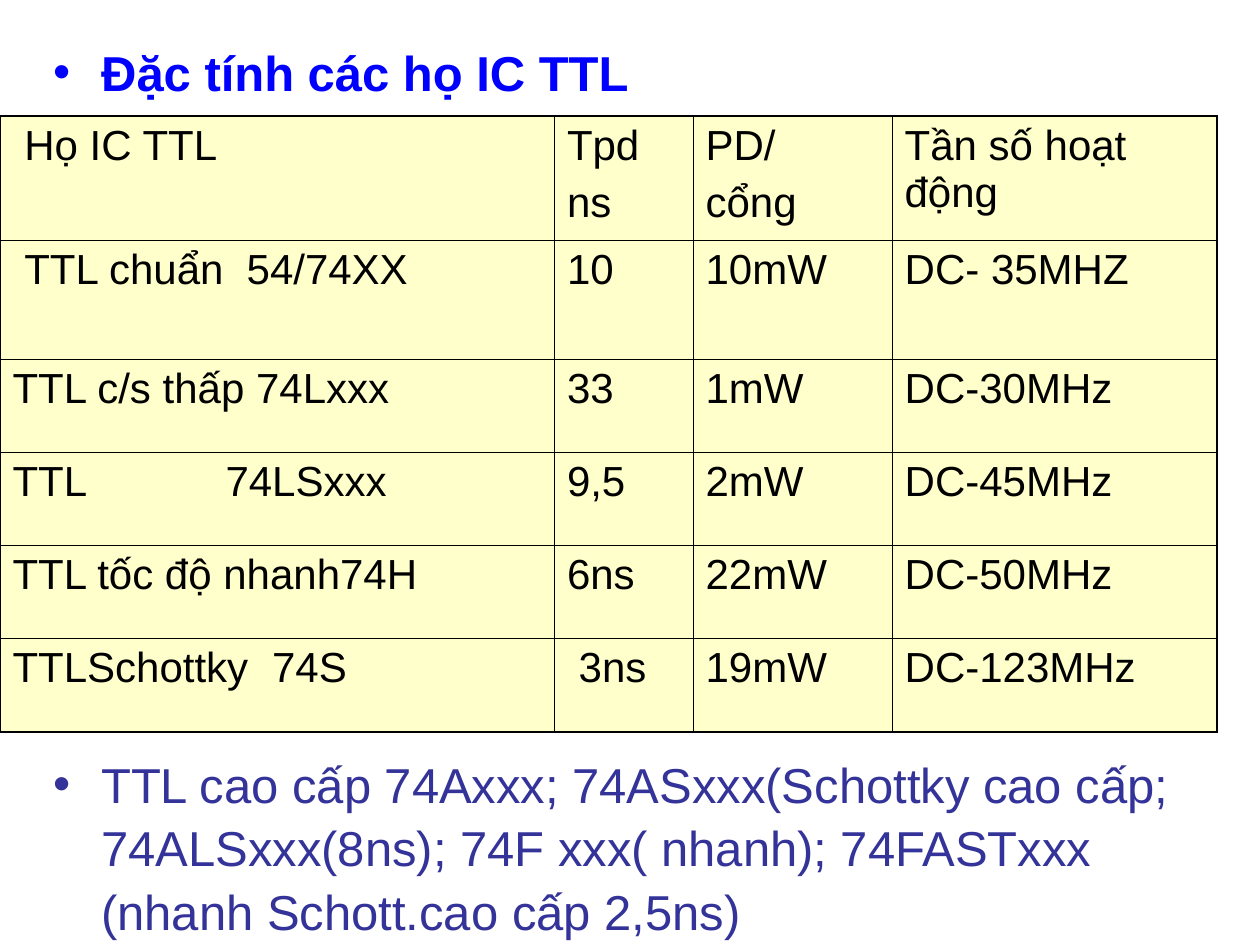
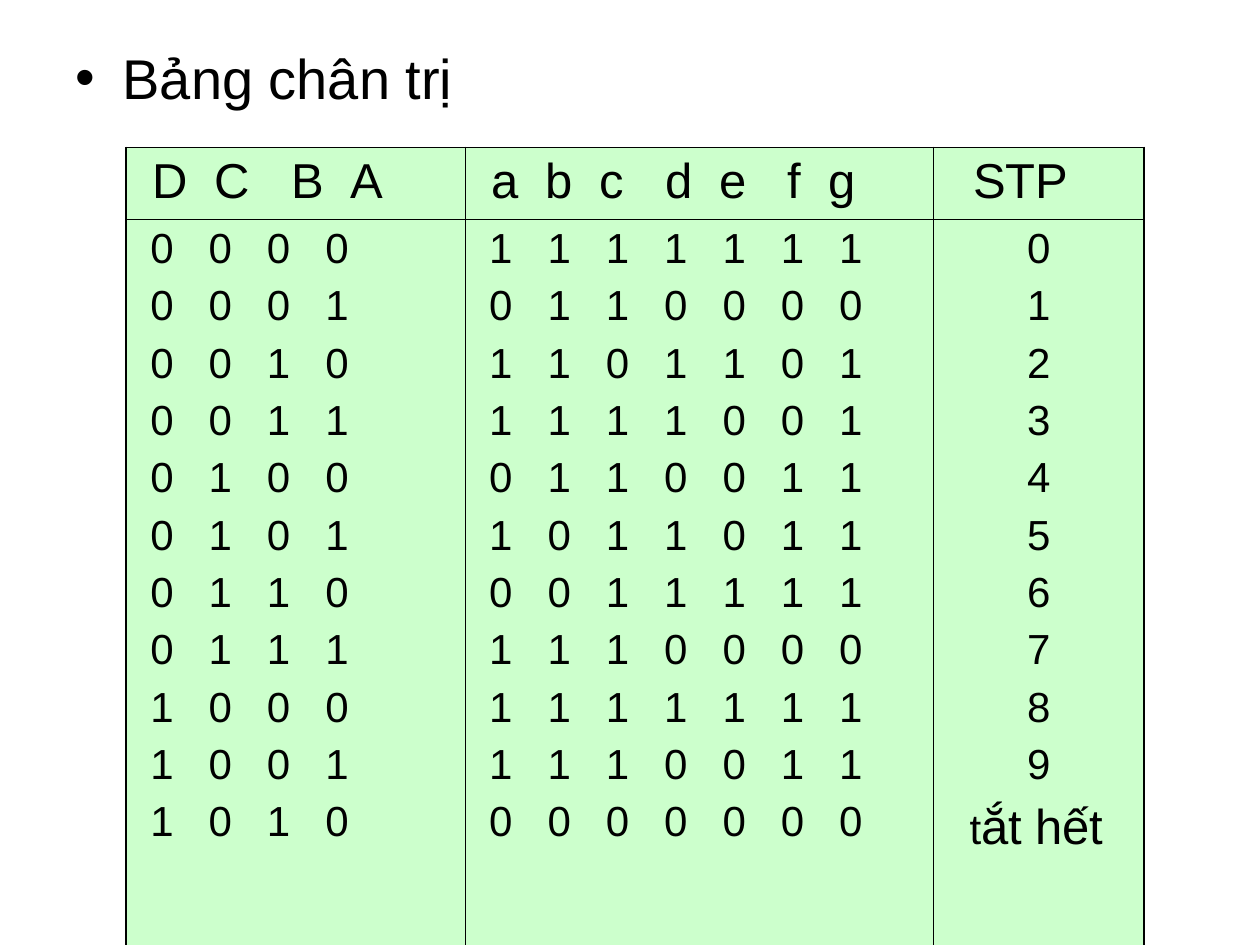
from dataclasses import dataclass
from itertools import accumulate
from lxml.etree import SubElement as Sub, Element as Elem
from pptx import Presentation
from pptx.dml.color import RGBColor as Rgb
from pptx.enum.text import PP_ALIGN as Align, MSO_ANCHOR as Anchor, MSO_AUTO_SIZE as Fit
from pptx.oxml.ns import qn
from pptx.util import Inches, Pt

COLS, ROWS = 100, 75  # grid units across and down the slide


@dataclass(frozen=True)
class Theme:
    font: str = "Arial"
    ink: str = "000000"
    blue: str = "0000FF"
    navy: str = "333399"
    cream: str = "FFFFCC"
    mint: str = "CCFFCC"
    body: int = 24
    head: int = 28
    title: int = 32
    thick: float = 1.08
    thin: float = 0.45
    pad: float = 1.0
    hang: float = 3.75
    lead: float = 1.08


@dataclass
class Para:
    """One paragraph: runs are (text, size) pairs; tabs and indent are grid columns."""
    runs: list
    tabs: tuple = ()
    indent: float = 0
    align: Align = Align.LEFT


@dataclass
class Cell:
    """Paragraphs of a table cell, moved right by shift grid columns."""
    paras: list
    shift: float = 0


def put(item, **form):
    for name, value in form.items():
        setattr(item, name, value)


class Deck:
    def __init__(self, theme):
        self.theme, self.prs = theme, Presentation()
        put(self.prs, slide_width=Inches(10), slide_height=Inches(7.5))
        self.slide = None

    def col(self, n):
        return round(self.prs.slide_width * n / COLS)

    def row(self, n):
        return round(self.prs.slide_height * n / ROWS)

    def page(self):
        self.slide = self.prs.slides.add_slide(self.prs.slide_layouts[6])

    def text(self, para, runs, color, bold=False):
        for words, size in runs:
            run = para.add_run()
            run.text = words
            put(run.font, name=self.theme.font, size=Pt(size), bold=bold)
            run.font.color.rgb = Rgb.from_string(color)

    def point(self, left, top, wide, high, words, size, color, bold=False):
        """Add a text box that holds one bulleted paragraph."""
        th = self.theme
        box = self.slide.shapes.add_textbox(
            self.col(left), self.row(top), self.col(wide), self.row(high))
        put(box.text_frame, word_wrap=True, auto_size=Fit.NONE)
        para = box.text_frame.paragraphs[0]
        props = para._p.get_or_add_pPr()
        props.set("marL", str(self.col(th.hang)))
        props.set("indent", str(-self.col(th.hang)))
        Sub(Sub(props, qn("a:buClr")), qn("a:srgbClr"), val=color)
        Sub(props, qn("a:buFont"), typeface=th.font)
        Sub(props, qn("a:buChar"), char="•")
        para.line_spacing = th.lead
        self.text(para, [(words, size)], color, bold)

    def edge(self, cell, widths):
        """Draw cell borders; widths lists left, right, top and bottom."""
        props = cell._tc.get_or_add_tcPr()
        for spot, (side, width) in enumerate(zip("LRTB", widths)):
            line = Elem(qn("a:ln" + side), w=str(Pt(width)))
            Sub(Sub(line, qn("a:solidFill")), qn("a:srgbClr"), val=self.theme.ink)
            props.insert(spot, line)

    def fill(self, cell, data, color):
        th = self.theme
        put(cell, margin_left=self.col(th.pad + data.shift), margin_right=self.col(th.pad),
            margin_top=self.row(0.5), margin_bottom=self.row(0.5),
            vertical_anchor=Anchor.TOP)
        cell.fill.solid()
        cell.fill.fore_color.rgb = Rgb.from_string(color)
        frame = cell.text_frame
        for n, item in enumerate(data.paras):
            para = frame.add_paragraph() if n else frame.paragraphs[0]
            props = para._p.get_or_add_pPr()
            if item.indent:
                props.set("marL", str(self.col(item.indent)))
            if item.tabs:
                stops = Sub(props, qn("a:tabLst"))
                for tab in item.tabs:
                    Sub(stops, qn("a:tab"), pos=str(self.col(tab)), algn="l")
            top = max(size for _, size in item.runs) / 4
            put(para, alignment=item.align, space_before=Pt(int(top) if n else 0))
            self.text(para, item.runs, th.ink)

    def table(self, left, top, wide, high, cells, color):
        """Add a table; wide and high list the column widths and row heights."""
        th = self.theme
        grid = self.slide.shapes.add_table(
            len(high), len(wide), self.col(left), self.row(top),
            self.col(sum(wide)), self.row(sum(high))).table
        put(grid, first_row=False, horz_banding=False)
        for part, size in zip(grid.columns, wide):
            part.width = self.col(size)
        for part, size in zip(grid.rows, high):
            part.height = self.row(size)
        for r, line in enumerate(cells):
            for c, data in enumerate(line):
                cell = grid.cell(r, c)
                self.fill(cell, data, color)
                outer = (c == 0, c == len(wide) - 1, r == 0, r == len(high) - 1)
                self.edge(cell, [th.thick if out else th.thin for out in outer])


def plain(words, size, shift=0, tabs=()):
    """Make a cell with one paragraph for each line of words."""
    return Cell([Para([(line, size)], tabs) for line in words.split("\n")], shift)


def traits(deck):
    th = deck.theme
    deck.page()
    deck.point(3.3, 2.5, 91.7, 6.5, "Đặc tính các họ IC TTL", th.head, th.blue, True)
    space = 0.93
    rows = [
        (("Họ IC TTL", space), "Tpd\nns", "PD/\ncổng", "Tần số hoạt động"),
        (("TTL chuẩn\t54/74XX", space, (17.65,)), "10", "10mW", "DC- 35MHZ"),
        ("TTL c/s thấp 74Lxxx", "33", "1mW", "DC-30MHz"),
        (("TTL\t74LSxxx", 0, (16.9,)), "9,5", "2mW", "DC-45MHz"),
        ("TTL tốc độ nhanh74H", "6ns", "22mW", "DC-50MHz"),
        (("TTLSchottky\t74S", 0, (20.6,)), ("3ns", space), "19mW", "DC-123MHz"),
    ]
    cells = []
    for row in rows:
        parts = [item if isinstance(item, tuple) else (item,) for item in row]
        cells.append([plain(words, th.body, *rest) for words, *rest in parts])
    deck.table(0, 9.2, (44, 11, 15.8, 25.8), (9.9, 9.4) + (7.4,) * 4, cells, th.cream)
    deck.point(3.3, 59, 91.7, 16,
               "TTL cao cấp 74Axxx; 74ASxxx(Schottky cao cấp; 74ALSxxx(8ns); "
               "74F xxx( nhanh); 74FASTxxx (nhanh Schott.cao cấp 2,5ns)",
               th.head, th.navy)


def truth(deck):
    th = deck.theme
    deck.page()
    deck.point(5, 2.5, 90, 7, "Bảng chân trị", th.title, th.ink)
    lit = ("1111111 0110000 1101101 1111001 0110011 1011011 "
           "0011111 1110000 1111111 1110011 0000000").split()
    codes = [format(n, "04b") for n in range(len(lit))]
    pitch = 4.63

    def bits(words):
        tabs = [pitch * n for n in range(1, len(words[0]))]
        return Cell([Para([("\t".join(word), th.body)], tabs) for word in words], 0.93)

    def names(letters, gaps):
        return plain("\t".join(letters), th.head, 1.08, tuple(accumulate(gaps)))

    marks = [Para([(str(n), th.body)], align=Align.CENTER) for n in range(10)]
    marks.append(Para([("t", th.body), ("ắt hết", th.head)], indent=1.85))
    cells = [
        [names("DCBA", (4.97, 6.05, 4.75)),
         names("abcdefg", (4.32, 4.32, 5.18, 4.32, 5.4, 3.24)),
         plain("STP", th.head, 2.16)],
        [bits(codes), bits(lit), Cell(marks)],
    ]
    deck.table(10, 11.7, (26.9, 37.2, 16.7), (5.7, 58.2), cells, th.mint)


def main():
    deck = Deck(Theme())
    traits(deck)
    truth(deck)
    deck.prs.save("out.pptx")


if __name__ == "__main__":
    main()
